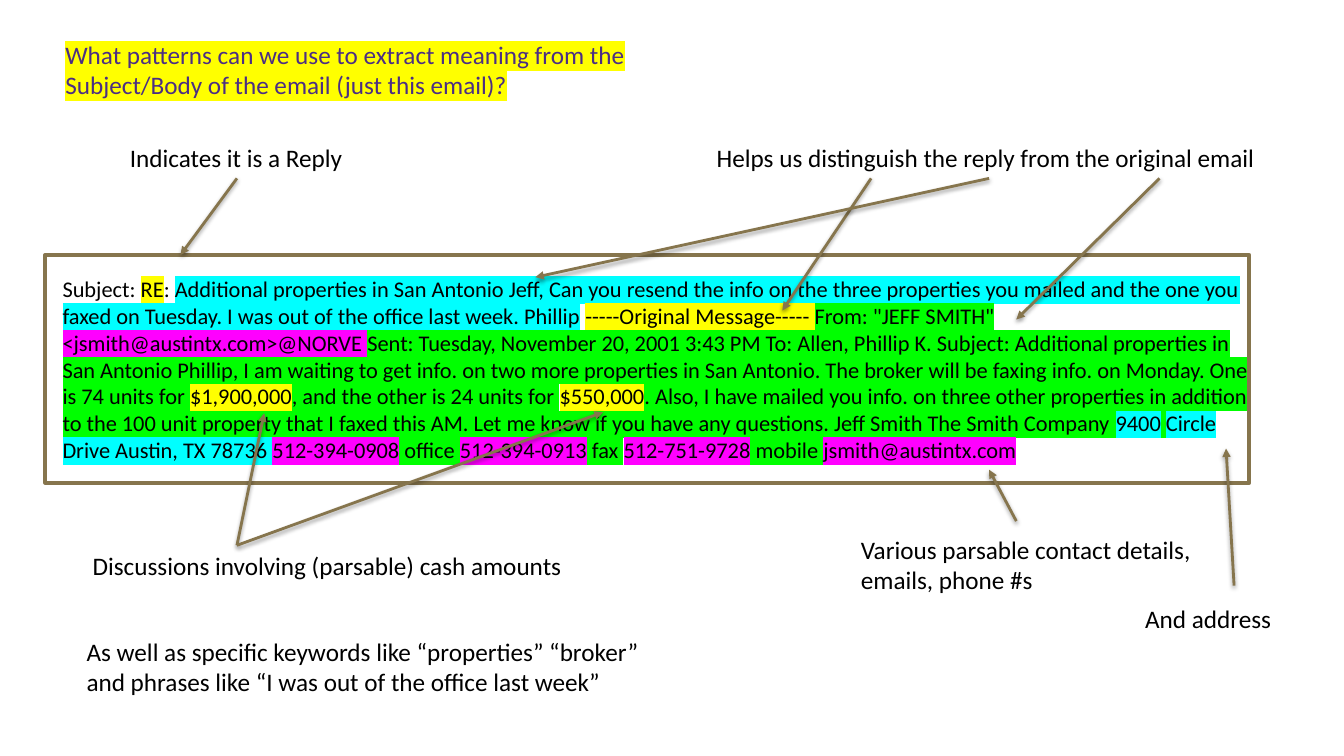
from lxml.etree import SubElement
from pptx import Presentation
from pptx.dml.color import RGBColor
from pptx.enum.shapes import MSO_CONNECTOR as Connector, MSO_SHAPE as Preset
from pptx.enum.text import MSO_AUTO_SIZE as AutoSize
from pptx.oxml.ns import qn
from pptx.util import Inches, Pt

COLORS = {
    "text": "000000", "title": "4B2E84", "line": "86754D",
    "yellow": "FFFF00", "cyan": "00FFFF", "green": "00FF00", "magenta": "FF00FF",
}


class EmailSlide:
    """Holds the style and the current slide."""

    def __init__(self, slide):
        self.slide = slide
        self.format = {"size": Pt(18), "name": "Calibri"}

    def text(self, left, top, width, height, runs, color="text", wrap=True, **changes):
        """Add a text box from (text, highlight) pairs."""
        shape = self.slide.shapes.add_textbox(*map(Inches, (left, top, width, height)))
        frame = shape.text_frame
        frame.word_wrap = wrap
        frame.auto_size = AutoSize.SHAPE_TO_FIT_TEXT
        for content, highlight in runs:
            run = frame.paragraphs[0].add_run()
            run.text = content
            run.font.color.rgb = RGBColor.from_string(COLORS[color])
            if highlight:
                mark = SubElement(run.font._element, qn("a:highlight"))
                SubElement(mark, qn("a:srgbClr"), val=COLORS[highlight])
            for name, value in {**self.format, **changes}.items():
                setattr(run.font, name, value)
        return shape

    def frame(self, left, top, width, height):
        """Add an unfilled outline."""
        shape = self.slide.shapes.add_shape(
            Preset.RECTANGLE, *map(Inches, (left, top, width, height)))
        shape.shadow.inherit = False
        shape.fill.background()
        shape.line.color.rgb = RGBColor.from_string(COLORS["line"])
        shape.line.width = Pt(3)

    def arrow(self, start, end):
        """Add a line with an arrowhead at its end and a soft shadow below."""
        connector = self.slide.shapes.add_connector(
            Connector.STRAIGHT, *map(Inches, start + end))
        connector.line.color.rgb = RGBColor.from_string(COLORS["line"])
        connector.line.width = Pt(2)
        SubElement(connector.line._get_or_add_ln(), qn("a:tailEnd"), type="triangle")
        effects = SubElement(connector._element.spPr, qn("a:effectLst"))
        shadow = SubElement(effects, qn("a:outerShdw"), blurRad="40000", dist="20000",
                            dir="5400000", rotWithShape="0")
        shade = SubElement(shadow, qn("a:srgbClr"), val=COLORS["text"])
        SubElement(shade, qn("a:alpha"), val="38000")


EMAIL = [
    ("Subject: ", None),
    ("RE", "yellow"),
    (": ", None),
    ("Additional properties in San Antonio Jeff, Can you resend the info on the three "
     "properties you mailed and the one you faxed on Tuesday. I was out of the office "
     "last week. Phillip", "cyan"),
    (" ", None),
    ("-----Original Message----- ", "yellow"),
    ('From: "JEFF SMITH" ', "green"),
    ("<jsmith@austintx.com>@NORVE ", "magenta"),
    ("Sent: Tuesday, November 20, 2001 3:43 PM To: Allen, Phillip K. Subject: Additional "
     "properties in San Antonio Phillip, I am waiting to get info. on two more properties "
     "in San Antonio. The broker will be faxing info. on Monday. One is 74 units for ",
     "green"),
    ("$1,900,000", "yellow"),
    (", and the other is 24 units for ", "green"),
    ("$550,000", "yellow"),
    (". Also, I have mailed you info. on three other properties in addition to the 100 "
     "unit property that I faxed this AM. Let me know if you have any questions. "
     "Jeff Smith The Smith Company ", "green"),
    ("9400", "cyan"),
    (" ", "green"),
    ("Circle Drive Austin, TX 78736 ", "cyan"),
    ("512-394-0908", "magenta"),
    (" office ", "green"),
    ("512-394-0913", "magenta"),
    (" fax ", "green"),
    ("512-751-9728", "magenta"),
    (" mobile ", "green"),
    ("jsmith@austintx.com", "magenta"),
]

# Left, top, width, height, wording, wrap
LABELS = [
    (1.19, 1.36, 2.33, 0.4, "Indicates it is a Reply", False),
    (7.01, 1.36, 5.6, 0.4, "Helps us distinguish the reply from the original email", False),
    (0.82, 5.41, 5.03, 0.4, "Discussions involving (parsable) cash amounts", False),
    (8.44, 5.25, 3.8, 0.71, "Various parsable contact details, emails, phone #s", True),
    (11.26, 5.94, 1.47, 0.4, "And address", False),
    (0.76, 6.26, 5.82, 0.71, "As well as specific keywords like “properties” “broker” "
     "and phrases like “I was out of the office last week”", True),
]

# Start of each group of arrows and the places it points to
ARROWS = {
    (2.35, 1.77): [(1.79, 2.53)],
    (8.64, 1.77): [(7.76, 3.08)],
    (9.81, 1.77): [(5.31, 2.75)],
    (11.5, 1.77): [(10.08, 3.17)],
    (2.35, 5.41): [(2.62, 4.1), (5.98, 4.09)],
    (10.08, 5.17): [(9.81, 4.66)],
    (12.24, 5.81): [(12.16, 4.45)],
}


def main():
    presentation = Presentation()
    presentation.slide_width = Inches(13.33)
    presentation.slide_height = Inches(7.5)
    page = EmailSlide(presentation.slides.add_slide(presentation.slide_layouts[6]))

    # Email with its frame
    body = page.text(0.47, 2.68, 12.02, 1.98, EMAIL, size=Pt(16))
    body.text_frame.margin_left = Inches(0.15)
    page.frame(0.45, 2.53, 11.94, 2.26)

    # Question
    page.text(0.55, 0.34, 6.24, 0.71,
              [("What patterns can we use to extract meaning from the Subject/Body "
                "of the email (just this email)?", "yellow")], color="title")

    # Notes and their arrows
    for left, top, width, height, wording, wrap in LABELS:
        page.text(left, top, width, height, [(wording, None)], wrap=wrap)
    for start, ends in ARROWS.items():
        for end in ends:
            page.arrow(start, end)

    presentation.save("out.pptx")


if __name__ == "__main__":
    main()
